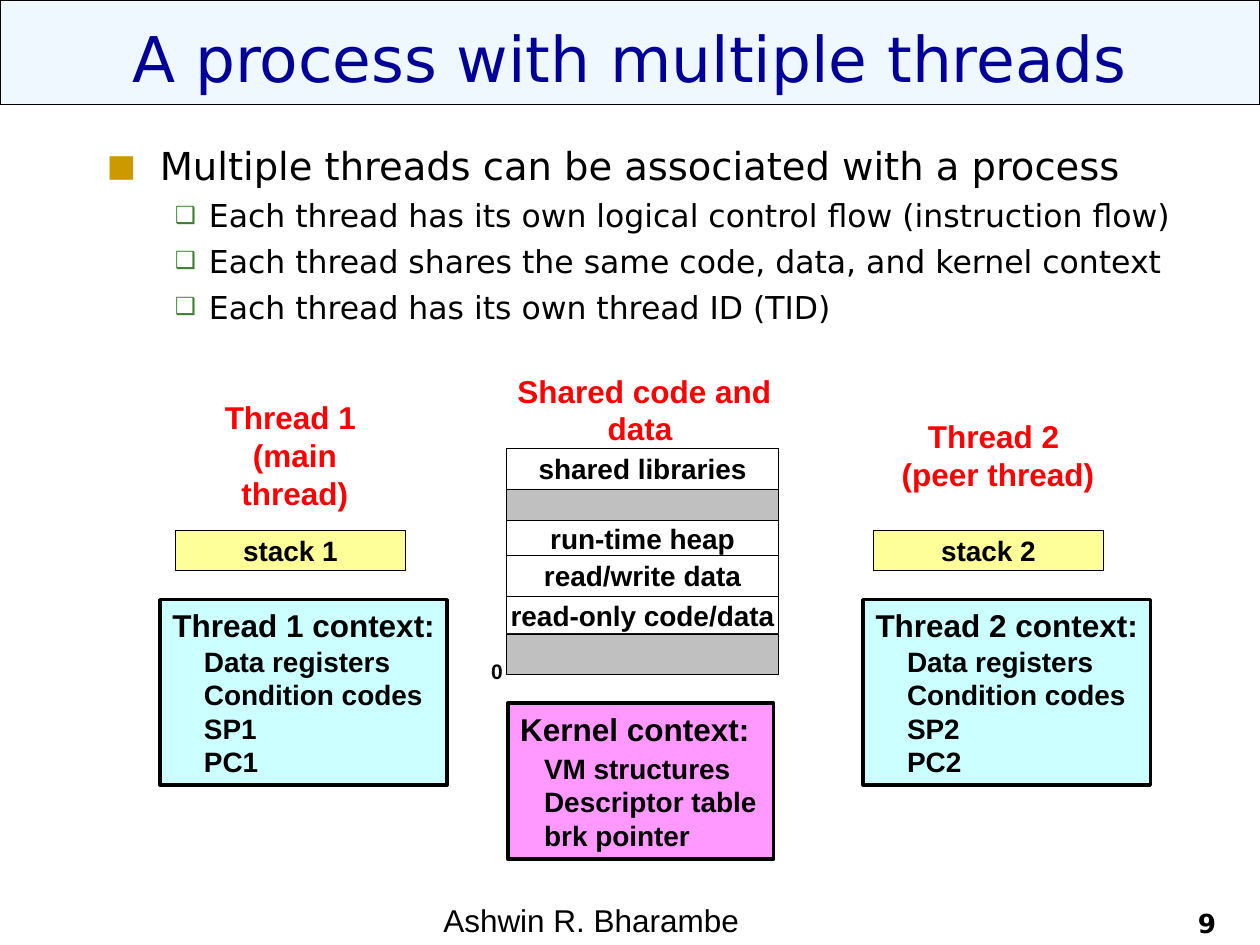
from lxml import etree
from pptx import Presentation
from pptx.dml.color import RGBColor
from pptx.enum.shapes import MSO_SHAPE
from pptx.enum.text import MSO_ANCHOR, PP_ALIGN
from pptx.oxml.ns import qn
from pptx.util import Inches, Pt

RECT = MSO_SHAPE.RECTANGLE
LEFT, MID, RIGHT = PP_ALIGN.LEFT, PP_ALIGN.CENTER, PP_ALIGN.RIGHT
TOP, CENTER, BASE = MSO_ANCHOR.TOP, MSO_ANCHOR.MIDDLE, MSO_ANCHOR.BOTTOM
SANS, ARIAL = "DejaVu Sans", "Arial"
COLS, ROWS = 10, 7.5  # grid cells are one inch square
BLACK, RED, GREY = "000000", "FF0000", "C0C0C0"


def color(hex_str):
    return RGBColor.from_string(hex_str)


def grid(box):
    return [Inches(v) for v in box]


def rect(slide, box, fill, weight):
    shape = slide.shapes.add_shape(RECT, *grid(box))
    shape.shadow.inherit = False
    shape.fill.solid()
    shape.fill.fore_color.rgb = color(fill)
    shape.line.color.rgb = color(BLACK)
    shape.line.width = Pt(weight)
    return shape


def frame(shape, anchor=CENTER, wrap=False):
    text = shape.text_frame
    text.word_wrap = wrap
    text.vertical_anchor = anchor
    return text


def write(par, words, size, font=ARIAL, hue=BLACK, bold=True, align=LEFT):
    """Fill a paragraph, with a line break at each newline."""
    par.alignment = align
    for i, line in enumerate(words.split("\n")):
        if i:
            par.add_line_break()
        run = par.add_run()
        run.text = line
        run.font.size = Pt(size)
        run.font.name = font
        run.font.bold = bold
        run.font.color.rgb = color(hue)


def label(slide, box, words, size, anchor=CENTER, wrap=False, **style):
    text = frame(slide.shapes.add_textbox(*grid(box)), anchor, wrap)
    write(text.paragraphs[0], words, size, **style)


def indent(par, left, hang=0):
    props = par._p.get_or_add_pPr()
    props.set("marL", str(Inches(left)))
    props.set("indent", str(Inches(-hang)))
    return props


def bullet(par, mark, hue, share, left, hang):
    props = indent(par, left, hang)
    tint = etree.SubElement(props, qn("a:buClr"))
    etree.SubElement(tint, qn("a:srgbClr"), val=hue)
    etree.SubElement(props, qn("a:buSzPct"), val=str(share * 1000))
    etree.SubElement(props, qn("a:buFont"), typeface=SANS)
    etree.SubElement(props, qn("a:buChar"), char=mark)


def header(slide, box, words):
    x, y, w, h = box
    band = rect(slide, box, "99CCFF", 0.75)
    tint = band.fill._xPr.find(".//" + qn("a:srgbClr"))
    etree.SubElement(tint, qn("a:alpha"), val="15000")
    label(slide, (x + 0.5, y + 0.08, w - 1, h - 0.08), words, 36,
          wrap=True, font=SANS, hue="000099", bold=False, align=MID)


def outline(slide, box, head, items):
    text = frame(slide.shapes.add_textbox(*grid(box)), TOP, True)
    par = text.paragraphs[0]
    par.space_before = Pt(5.5)
    write(par, head, 22, SANS, bold=False)
    bullet(par, "■", "CC9900", 80, 0.42, 0.42)
    for item in items:
        par = text.add_paragraph()
        par.level = 1
        par.space_before = Pt(4.5)
        write(par, item, 18, SANS, bold=False)
        bullet(par, "❑", "3B812F", 75, 0.81, 0.27)


def cell(slide, box, words, fill):
    shape = rect(slide, box, fill, 0.25)
    if words:
        write(frame(shape).paragraphs[0], words, 16, align=MID)


def context(slide, box, fill, head, items, inset, gap=0):
    text = frame(rect(slide, box, fill, 2))
    write(text.paragraphs[0], head, 18)
    for i, item in enumerate(items):
        par = text.add_paragraph()
        par.space_before = Pt(0 if i else gap)
        write(par, item, 16)
        indent(par, inset)


def memory(slide, box, bands):
    """Stack the bands of the address space under their heading."""
    x, y, w, h = box
    label(slide, (x - 0.37, y, w + 0.7, 0.4), " Shared code and data", 18,
          hue=RED, align=MID)
    top = y + 0.51
    for words, high in bands:
        cell(slide, (x, top, w, high), words, "FFFFFF" if words else GREY)
        top += high
    label(slide, (x - 0.22, y + h - 0.17, 0.29, 0.3), "0", 12, TOP)


def thread(slide, box, num, role, shift):
    x, y, w, h = box
    label(slide, (x + 0.18, y, 1.78, 0.7), f"Thread {num} \n({role} thread)",
          18, hue=RED, align=MID)
    cell(slide, (x + shift, y + 0.95, 1.83, 0.32), f"stack {num}", "FFFF99")
    items = ("Data registers", "Condition codes", f"SP{num}", f"PC{num}")
    context(slide, (x, y + 1.5, w, h - 1.5), "CCFFFF",
            f"Thread {num} context:", items, 0.25)


def footer(slide, box, name, page):
    x, y, w, h = box
    label(slide, (x + 3.42, y + 0.08, 3.17, h - 0.08), name, 18, BASE, True,
          bold=False)
    label(slide, (x + w - 2.58, y, 2.33, h), page, 15, BASE, True,
          font=SANS, align=RIGHT)


def main():
    deck = Presentation()
    deck.slide_width, deck.slide_height = grid((COLS, ROWS))
    slide = deck.slides.add_slide(deck.slide_layouts[6])
    header(slide, (0, 0, COLS, 0.83), "A process with multiple threads")
    outline(slide, (0.75, 1.08, 9.08, 1.81),
            "Multiple threads can be associated with a process",
            ("Each thread has its own logical control flow (instruction flow)",
             "Each thread shares the same code, data, and kernel context",
             "Each thread has its own thread ID (TID)"))
    memory(slide, (4.02, 3.05, 2.16, 2.3),
           (("shared libraries", 0.32), ("", 0.25), ("run-time heap", 0.28),
            ("read/write data", 0.32), ("read-only code/data", 0.3),
            ("", 0.32)))
    thread(slide, (1.27, 3.26, 2.28, 2.97), 1, "main", 0.12)
    context(slide, (4.03, 5.58, 2.11, 1.24), "FF99FF", "Kernel context:",
            ("VM structures", "Descriptor table", "brk pointer"), 0.19, 2)
    thread(slide, (6.85, 3.26, 2.28, 2.97), 2, "peer", 0.08)
    footer(slide, (0, 7.25, COLS, 0.25), "Ashwin R. Bharambe", "9")
    deck.save("out.pptx")


if __name__ == "__main__":
    main()
